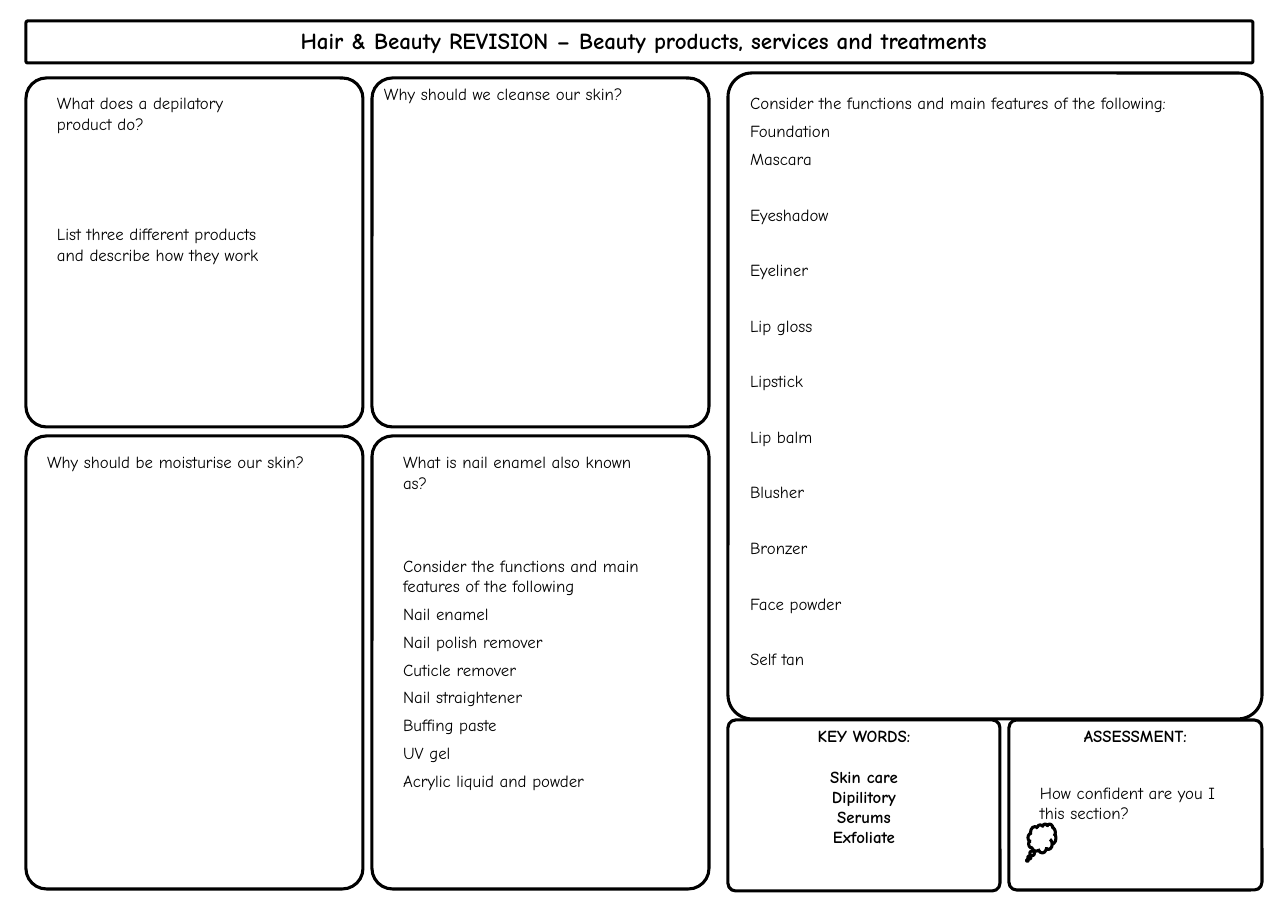
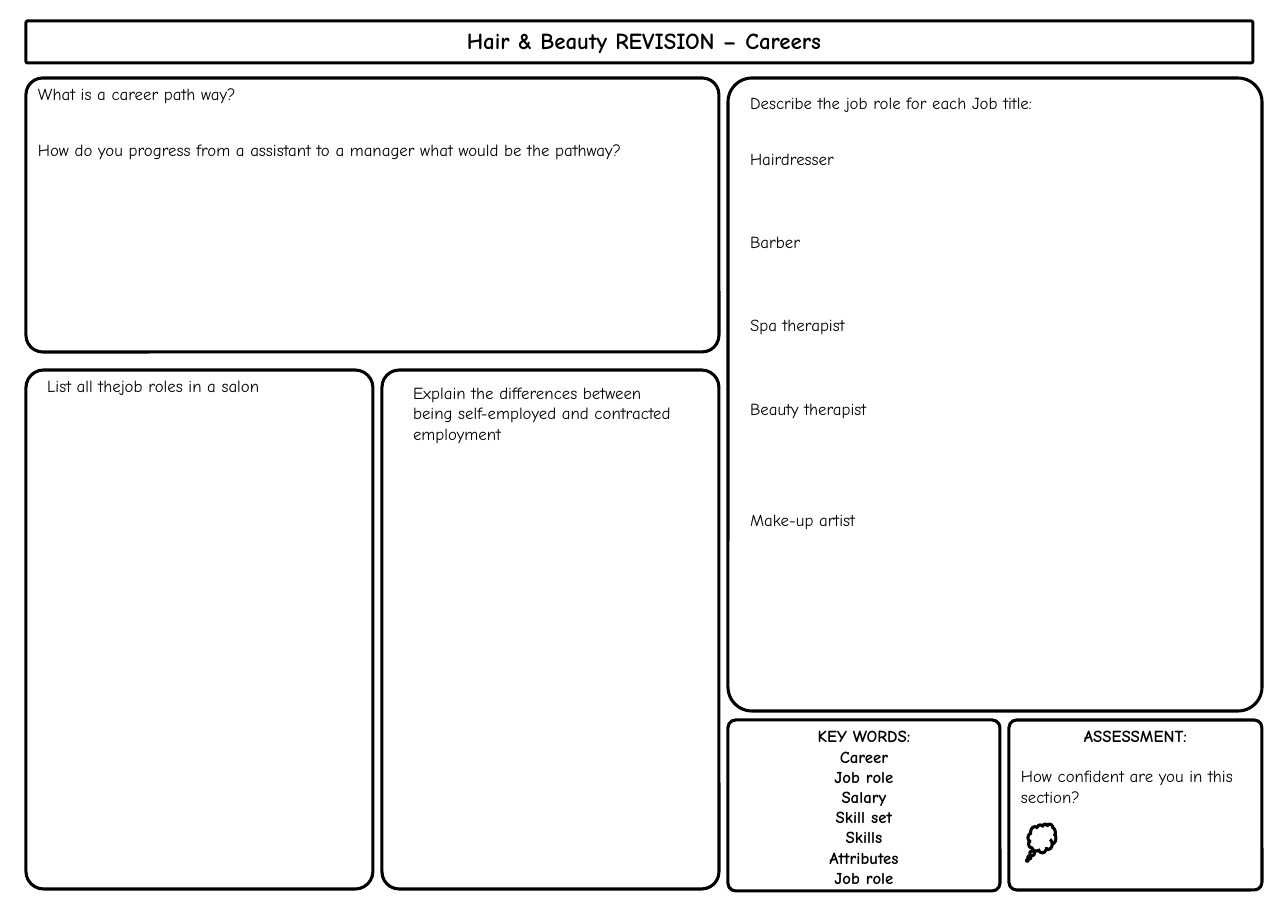
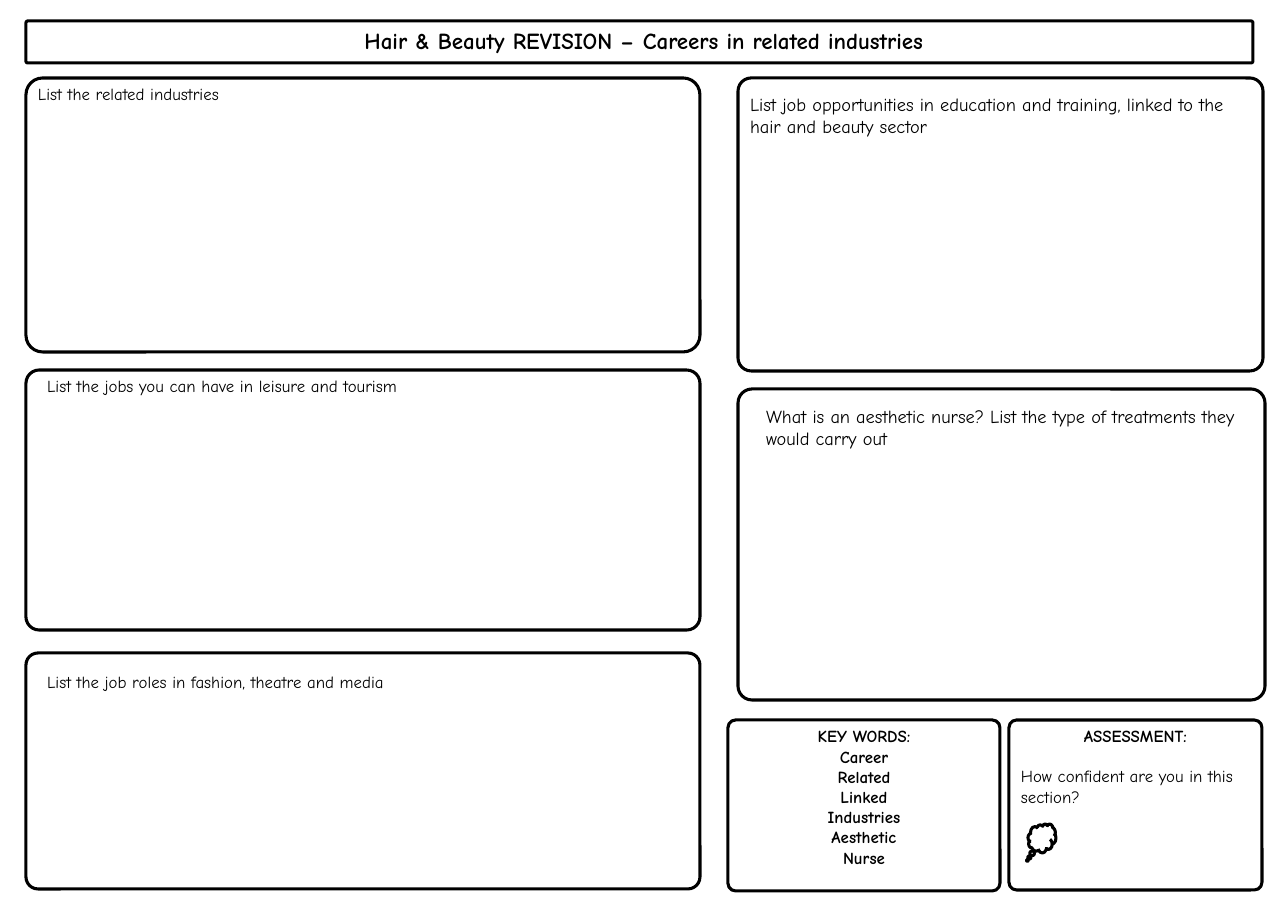
"""Build three hair and beauty revision worksheets."""
from lxml.etree import SubElement
from pptx import Presentation
from pptx.dml.color import RGBColor
from pptx.enum.shapes import MSO_SHAPE
from pptx.enum.text import MSO_ANCHOR, MSO_AUTO_SIZE, PP_ALIGN
from pptx.oxml.ns import qn
from pptx.util import Pt

PX = 8298
INK = RGBColor(0, 0, 0)
FONT = "Comic Neue"
LINE_PT = 13.1
GAP_PT = 5
BOTTOM = 889
LEFT = 26
TOP = 78
COLUMN_STEP = 346

TITLE_BAND = (LEFT, 21, 1227, 42)
TITLE_TEXT = (110, 21, 1068, 41)
KEY_FRAME = (728, 720, 272, 171)
KEY_TEXT = (738, 720, 252, 171)
ASSESSMENT_FRAME = (1009, 720, 253, 170)
CLOUD = (1028, 824, 28, 29)
CONFIDENT = ("How confident are you in this section?", (1009, 760, 253, 60))

# frame, corner, text left/top/width, size, [(blank lines before, text)]
SHEETS = [
    {
        "title": "Hair & Beauty REVISION – Beauty products, services and treatments",
        "key_words": (1, ["Skin care", "Dipilitory", "Serums", "Exfoliate"]),
        "assessment": ("How confident are you I this section?", (1028, 777, 225, 53)),
        "panels": [
            ((728, 73, 534, 646), 0.045, (738, 87, 506), 11,
             [(0, "Consider the functions and main features of the following:"),
              (0, "Foundation"), (0, "Mascara"), (1, "Eyeshadow"), (1, "Eyeliner"),
              (1, "Lip gloss"), (1, "Lipstick"), (1, "Lip balm"), (1, "Blusher"),
              (1, "Bronzer"), (1, "Face powder"), (1, "Self tan")]),
            ((LEFT, TOP, 337, 349), 0.061, (45, 87, 244), 11,
             [(0, "What does a depilatory product do?"),
              (3, "List three different products and describe how they work")]),
            ((LEFT + COLUMN_STEP, TOP, 337, 349), 0.061, (372, TOP, 337), 11,
             [(0, "Why should we cleanse our skin?")]),
            ((LEFT, 436, 337, BOTTOM - 436), 0.061, (35, 446, 300), 11,
             [(0, "Why should be moisturise our skin?")]),
            ((LEFT + COLUMN_STEP, 436, 337, BOTTOM - 436), 0.061, (391, 446, 262), 11,
             [(0, "What is nail enamel also known as?"),
              (2, "Consider the functions and main features of the following"),
              (0, "Nail enamel"), (0, "Nail polish remover"), (0, "Cuticle remover"),
              (0, "Nail straightener"), (0, "Buffing paste"), (0, "UV gel"),
              (0, "Acrylic liquid and powder")]),
        ],
    },
    {
        "title": "Hair & Beauty REVISION – Careers",
        "key_words": (0, ["Career", "Job role", "Salary", "Skill set", "Skills",
                          "Attributes", "Job role"]),
        "assessment": CONFIDENT,
        "panels": [
            ((728, TOP, 534, 633), 0.045, (738, 87, 506), 11,
             [(0, "Describe the job role for each Job title:"), (1, "Hairdresser"),
              (2, "Barber"), (2, "Spa therapist"), (2, "Beauty therapist"),
              (3, "Make-up artist")]),
            ((LEFT, TOP, 693, 274), 0.061, (LEFT, TOP, 674), 11,
             [(0, "What is a career path way?"),
              (1, "How do you progress from a assistant to a manager what would be "
                  "the pathway?")]),
            ((LEFT, 370, 347, BOTTOM - 370), 0.051, (35, 370, 346), 11,
             [(0, "List all thejob roles in a salon")]),
            ((382, 370, 337, BOTTOM - 370), 0.051, (401, 377, 285), 11,
             [(0, "Explain the differences between being self-employed and "
                  "contracted employment")]),
        ],
    },
    {
        "title": "Hair & Beauty REVISION – Careers in related industries",
        "key_words": (0, ["Career", "Related", "Linked", "Industries", "Aesthetic",
                          "Nurse"]),
        "assessment": CONFIDENT,
        "panels": [
            ((738, TOP, 525, 293), 0.045, (738, 87, 506), 12,
             [(0, "List job opportunities in education and training, linked to the "
                  "hair and beauty sector")]),
            ((738, 389, 527, 311), 0.045, (754, 399, 496), 12,
             [(0, "What is an aesthetic nurse? List the type of treatments they "
                  "would carry out")]),
            ((LEFT, TOP, 674, 274), 0.061, (LEFT, TOP, 674), 11,
             [(0, "List the related industries")]),
            ((LEFT, 370, 674, 260), 0.051, (35, 370, 664), 11,
             [(0, "List the jobs you can have in leisure and tourism")]),
            ((LEFT, 653, 674, BOTTOM - 653), 0.051, (35, 666, 664), 11,
             [(0, "List the job roles in fashion, theatre and media")]),
        ],
    },
]


def emu(box):
    return [length * PX for length in box]


def add_outline(slide, box, adjustments, kind=MSO_SHAPE.ROUNDED_RECTANGLE):
    shape = slide.shapes.add_shape(kind, *emu(box))
    for index, value in enumerate(adjustments):
        shape.adjustments[index] = value
    shape.shadow.inherit = False
    shape.fill.background()
    shape.line.color.rgb = INK
    shape.line.width = Pt(2)


def write(slide, box, lines, size=11, bold=False, gap=0, align=PP_ALIGN.LEFT,
          placeholder=None):
    holder = placeholder or slide.shapes.add_textbox(*emu(box))
    holder.left, holder.top, holder.width, holder.height = emu(box)
    frame = holder.text_frame
    frame.word_wrap = True
    frame.auto_size = MSO_AUTO_SIZE.NONE
    frame.vertical_anchor = MSO_ANCHOR.TOP
    frame.margin_left = frame.margin_right = 12 * PX
    frame.margin_top = frame.margin_bottom = 6 * PX
    for index, (blanks, text) in enumerate(lines):
        para = frame.add_paragraph() if index else frame.paragraphs[0]
        para.text = text
        properties = para._p.get_or_add_pPr()
        properties.set("marL", "0")
        properties.set("indent", "0")
        SubElement(properties, qn("a:buNone"))
        para.alignment = align
        para.space_before = Pt(gap + blanks * (LINE_PT + gap) if index else 0)
        para.font.name = FONT
        para.font.size = Pt(size)
        para.font.bold = bold
        para.font.color.rgb = INK


def add_shared_parts(slide, sheet, key_body):
    for box in (TITLE_BAND, KEY_FRAME, ASSESSMENT_FRAME):
        add_outline(slide, box, [0.045])
    add_outline(slide, CLOUD, [-0.522, 0.761], MSO_SHAPE.CLOUD_CALLOUT)
    write(slide, TITLE_TEXT, [(0, sheet["title"])], 15, True,
          align=PP_ALIGN.CENTER, placeholder=slide.shapes.title)
    blanks, words = sheet["key_words"]
    key_lines = [(0, "KEY WORDS:"), (blanks, words[0])] + [(0, word) for word in words[1:]]
    write(slide, KEY_TEXT, key_lines, bold=True, align=PP_ALIGN.CENTER,
          placeholder=key_body)
    write(slide, ASSESSMENT_FRAME, [(0, "ASSESSMENT:")], bold=True,
          align=PP_ALIGN.CENTER)
    question, box = sheet["assessment"]
    write(slide, box, [(0, question)])


def add_sheet(deck, sheet):
    slide = deck.slides.add_slide(deck.slide_layouts.get_by_name("Two Content"))
    main_body, key_body = list(slide.placeholders)[1:]
    add_shared_parts(slide, sheet, key_body)
    for index, (frame, corner, place, size, lines) in enumerate(sheet["panels"]):
        add_outline(slide, frame, [corner])
        left, top, width = place
        box = (left, top, width, frame[1] + frame[3] - top)
        write(slide, box, lines, size, gap=GAP_PT,
              placeholder=None if index else main_body)


def main():
    deck = Presentation()
    deck.slide_width, deck.slide_height = emu((1288, 911))
    for sheet in SHEETS:
        add_sheet(deck, sheet)
    deck.save("out.pptx")


if __name__ == "__main__":
    main()
